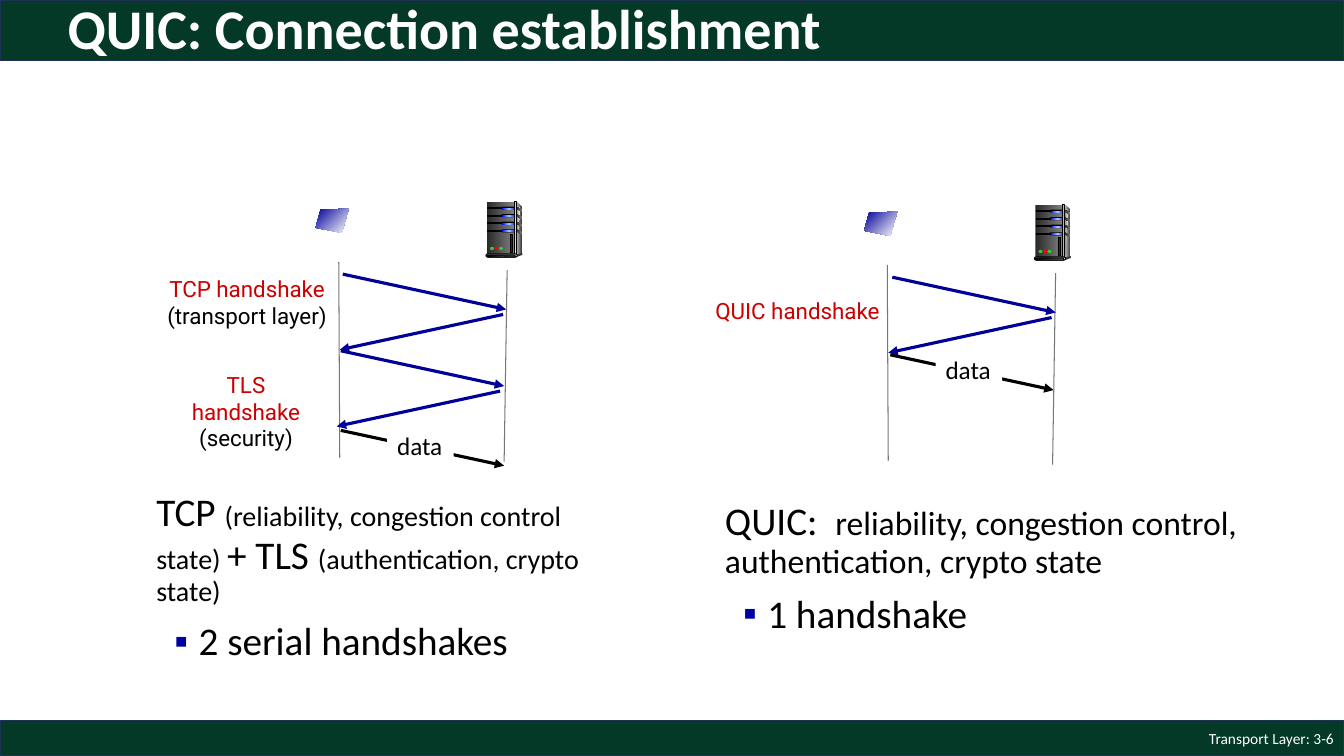
from lxml import etree
from pptx import Presentation
from pptx.dml.color import RGBColor
from pptx.enum.shapes import MSO_CONNECTOR, MSO_SHAPE
from pptx.enum.text import MSO_ANCHOR, MSO_AUTO_SIZE, PP_ALIGN
from pptx.oxml.ns import qn
from pptx.util import Inches, Pt

RECT, PILL, OVAL = MSO_SHAPE.RECTANGLE, MSO_SHAPE.ROUNDED_RECTANGLE, MSO_SHAPE.OVAL
STRAIGHT = MSO_CONNECTOR.STRAIGHT
LEFT, CENTER, RIGHT = PP_ALIGN.LEFT, PP_ALIGN.CENTER, PP_ALIGN.RIGHT
TOP, MIDDLE = MSO_ANCHOR.TOP, MSO_ANCHOR.MIDDLE
NO_FIT = MSO_AUTO_SIZE.NONE

GREEN = RGBColor(0x04, 0x39, 0x27)
BAR_EDGE = RGBColor(0x1E, 0x32, 0x56)
WHITE = RGBColor(0xFF, 0xFF, 0xFF)
BLACK = RGBColor(0, 0, 0)
NAVY = RGBColor(0, 0, 0x99)
BULLET = RGBColor(0, 0, 0xA3)
RED = RGBColor(0xCC, 0, 0)
GRAY = RGBColor(0x77, 0x77, 0x77)
CASE_DARK = RGBColor(0x29, 0x29, 0x29)
CASE_MID = RGBColor(0x80, 0x80, 0x80)
CASE_PALE = RGBColor(0xF8, 0xF8, 0xF8)
EDGE_DARK = RGBColor(0x33, 0x33, 0x33)
EDGE_LIGHT = RGBColor(0xDD, 0xDD, 0xDD)
GLOW = RGBColor(0, 0, 0xFF)
GLOW_LIGHT = RGBColor(0x99, 0xCC, 0xFF)
LED_GREEN = RGBColor(0x33, 0xCC, 0x33)
LED_RED = RGBColor(0xFF, 0, 0)


def paint(s, colors, edge=None, width=0.75, angle=0):
    s.shadow.inherit = False
    if len(colors) == 1:
        s.fill.solid()
        s.fill.fore_color.rgb = colors[0]
    else:
        s.fill.gradient()
        s.fill.gradient_angle = angle
        stops = s._element.spPr.find(".//" + qn("a:gsLst"))
        for stop in list(stops):
            stops.remove(stop)
        for i, color in enumerate(colors):
            pos = str(i * 100000 // (len(colors) - 1))
            stop = etree.SubElement(stops, qn("a:gs"), pos=pos)
            etree.SubElement(stop, qn("a:srgbClr"), val=str(color))
    if edge is None:
        s.line.fill.background()
    else:
        s.line.color.rgb = edge
        s.line.width = Pt(width)


def add_block(shapes, kind, x, y, w, h, *colors, edge=None, width=0.75):
    s = shapes.add_shape(kind, Inches(x), Inches(y), Inches(w), Inches(h))
    if kind == PILL:
        s.adjustments[0] = 0.5
    paint(s, colors, edge, width)
    return s


def add_outline(shapes, x, y, points, *colors, angle=0):
    pts = [(Inches(x + dx), Inches(y + dy)) for dx, dy in points]
    builder = shapes.build_freeform(*pts[0])
    builder.add_line_segments(pts[1:], close=True)
    paint(builder.convert_to_shape(), colors, angle=angle)


def add_line(shapes, x1, y1, x2, y2, color, width, arrow=False):
    s = shapes.add_connector(STRAIGHT, Inches(x1), Inches(y1), Inches(x2), Inches(y2))
    s.line.color.rgb = color
    s.line.width = Pt(width)
    if arrow:
        etree.SubElement(s.line._get_or_add_ln(), qn("a:tailEnd"), type="triangle")
    etree.SubElement(s._element.spPr, qn("a:effectLst"))


def style_run(r, size, color, font="Calibri", bold=False):
    r.font.name = font
    r.font.size = Pt(size)
    r.font.bold = bold
    r.font.color.rgb = color


def add_label(shapes, x, y, w, h, lines, size, font, align=CENTER, anchor=TOP, wrap=False):
    s = shapes.add_textbox(Inches(x), Inches(y), Inches(w), Inches(h))
    tf = s.text_frame
    tf.word_wrap = wrap
    tf.vertical_anchor = anchor
    tf.text = "\n".join(text for text, _ in lines)
    for p, (_, color) in zip(tf.paragraphs, lines):
        p.alignment = align
        style_run(p.runs[0], size, color, font)
    return s


def place(s, x, y, w, h, anchor):
    s.left, s.top, s.width, s.height = Inches(x), Inches(y), Inches(w), Inches(h)
    s.text_frame.vertical_anchor = anchor
    s.text_frame.auto_size = NO_FIT
    s.text_frame.word_wrap = True
    return s.text_frame


def set_title(s, text):
    tf = place(s, 0.57, 0.06, 11.5, 0.5, MIDDLE)
    tf.text = text
    p = tf.paragraphs[0]
    p.alignment = LEFT
    p.line_spacing = 0.9
    style_run(p.runs[0], 40, WHITE, bold=True)


def indent(p, left, first):
    pPr = p._p.get_or_add_pPr()
    pPr.set("marL", str(Inches(left)))
    pPr.set("indent", str(Inches(first)))
    return pPr


def set_summary(s, x, y, w, h, pieces, point):
    tf = place(s, x, y, w, h, TOP)
    p = tf.paragraphs[0]
    p.line_spacing = 0.9
    p.space_before = Pt(0)
    etree.SubElement(indent(p, 0.14, 0), qn("a:buNone"))
    for text, size in pieces:
        r = p.add_run()
        r.text = text
        style_run(r, size, BLACK)
    p = tf.add_paragraph()
    p.text = point
    p.line_spacing = 0.9
    p.space_before = Pt(10)
    pPr = indent(p, 0.56, -0.24)
    color = etree.SubElement(pPr, qn("a:buClr"))
    etree.SubElement(color, qn("a:srgbClr"), val=str(BULLET))
    etree.SubElement(pPr, qn("a:buChar"), char="▪")
    style_run(p.runs[0], 28, BLACK)


def add_bar(shapes, y, h):
    s = add_block(shapes, RECT, 0, y, 13.33, h, GREEN, edge=BAR_EDGE, width=1)
    shapes._spTree.insert(2, s._element)


def add_server(slide_shapes, x, y):
    shapes = slide_shapes.add_group_shape().shapes
    add_outline(shapes, x, y, [(0.3, 0), (0.36, 0.06), (0.36, 0.51), (0.29, 0.53)],
                EDGE_LIGHT, EDGE_DARK)
    add_block(shapes, RECT, x + 0.01, y, 0.27, 0.53, CASE_DARK, CASE_MID)
    add_outline(shapes, x, y, [(0.3, 0.03), (0.34, 0.07), (0.32, 0.25), (0.31, 0.45), (0.3, 0.52)],
                CASE_MID, CASE_PALE)
    for i in range(4):
        row = y + 0.05 + 0.075 * i
        add_block(shapes, RECT, x + 0.02, row + 0.01, 0.15, 0.01, BLACK, edge=BLACK)
        add_block(shapes, PILL, x + 0.15, row, 0.15, 0.03, BLACK)
        add_block(shapes, PILL, x + 0.16, row + 0.01, 0.14, 0.02, GLOW, GLOW_LIGHT, GLOW)
        add_outline(shapes, x, row, [(0.3, 0), (0.36, 0.03), (0.36, 0.05), (0.3, 0.02)],
                    CASE_DARK, CASE_MID)
    add_block(shapes, RECT, x + 0.28, y, 0.02, 0.54, EDGE_DARK, EDGE_LIGHT, EDGE_DARK, edge=BLACK)
    add_block(shapes, OVAL, x + 0.35, y + 0.51, 0.01, 0.02, EDGE_DARK)
    add_outline(shapes, x, y, [(0.3, 0.53), (0.3, 0.55), (0.36, 0.53), (0.36, 0.51)], EDGE_DARK)
    add_block(shapes, PILL, x, y + 0.52, 0.31, 0.03, EDGE_LIGHT, edge=BLACK)
    add_block(shapes, PILL, x + 0.01, y + 0.53, 0.28, 0.02, BLACK, CASE_MID, edge=BLACK)
    for i, color in enumerate((LED_GREEN, LED_RED, LED_GREEN)):
        add_block(shapes, OVAL, x + 0.04 + 0.045 * i, y + 0.45, 0.04, 0.03, color)
    add_block(shapes, RECT, x + 0.24, y + 0.33, 0.02, 0.18, CASE_DARK, edge=BLACK)


def add_exchange(shapes, x, y, starts):
    add_line(shapes, x, y, x + 0.01, y + 1.94, GRAY, 0.75)
    add_line(shapes, x + 1.67, y + 0.08, x + 1.64, y + 1.98, GRAY, 0.75)
    add_outline(shapes, x, y, [(0.1, -0.53), (-0.18, -0.52), (-0.23, -0.34), (0.03, -0.29)],
                NAVY, WHITE, angle=315)
    add_server(shapes, x + 1.46, y - 0.6)
    for i, (dx, dy) in enumerate(starts):
        run = 1.62 if i % 2 == 0 else -1.62
        color = BLACK if i == len(starts) - 1 else NAVY
        add_line(shapes, x + dx, y + dy, x + dx + run, y + dy + 0.35, color, 2.25, arrow=True)
    s = add_label(shapes, x + 0.48, y + starts[-1][1] - 0.05, 0.66, 0.4,
                  [("data", BLACK)], 18, "Calibri", LEFT)
    s.fill.solid()
    s.fill.fore_color.rgb = WHITE


def main():
    prs = Presentation()
    prs.slide_width, prs.slide_height = Inches(13.33), Inches(7.5)
    slide = prs.slides.add_slide(prs.slide_layouts[3])
    shapes = slide.shapes
    title, left_body, right_body = slide.placeholders
    add_bar(shapes, 0, 0.6)
    add_bar(shapes, 7.15, 0.35)
    set_title(title, "QUIC: Connection establishment")
    add_label(shapes, 10.33, 7.15, 3, 0.35, [("Transport Layer: 3-6", WHITE)], 11,
              "Calibri", RIGHT, MIDDLE, wrap=True)

    add_exchange(shapes, 3.36, 2.6,
                 [(0.04, 0.12), (1.63, 0.52), (0.02, 0.88), (1.6, 1.28), (0.02, 1.67)])
    add_exchange(shapes, 8.8, 2.63, [(0.05, 0.12), (1.63, 0.52), (0.03, 0.89)])

    add_label(shapes, 1.54, 2.68, 1.82, 0.64,
              [("TCP handshake", RED), ("(transport layer)", BLACK)], 16, "Roboto")
    tls = add_label(shapes, 1.59, 3.63, 1.7, 0.64,
                    [("TLS handshake", RED), ("(security)", BLACK)], 16, "Roboto", wrap=True)
    tls.text_frame.margin_left = tls.text_frame.margin_right = Inches(0.2)
    add_label(shapes, 6.98, 2.9, 1.86, 0.37, [("QUIC handshake", RED)], 16, "Roboto")

    set_summary(left_body, 1.31, 4.84, 4.87, 2.29,
                [("TCP ", 28), ("(reliability, congestion control state) ", 20),
                 ("+ TLS ", 28), ("(authentication, crypto state)", 20)],
                "2 serial handshakes")
    set_summary(right_body, 6.95, 4.93, 5.56, 2.29,
                [("QUIC:  ", 28),
                 ("reliability, congestion control, authentication, crypto state", 24)],
                "1 handshake")
    prs.save("out.pptx")


if __name__ == "__main__":
    main()
